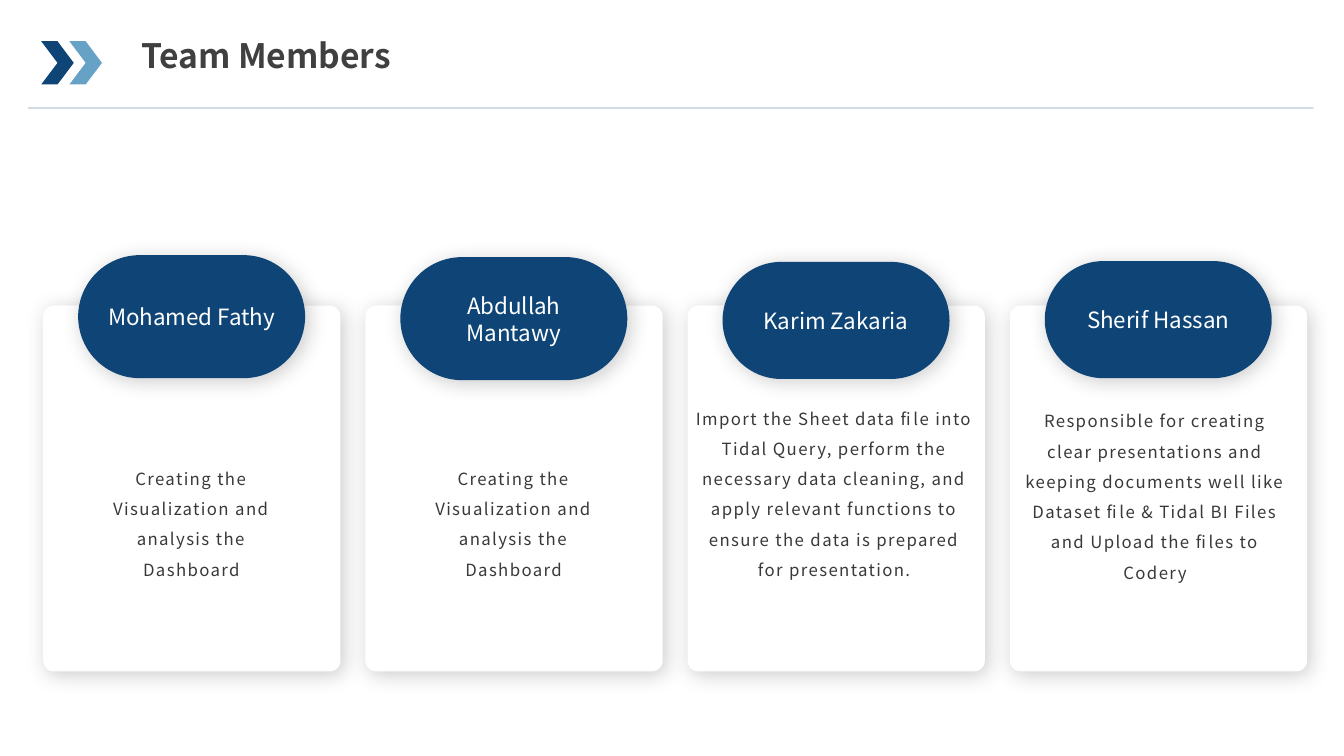
import pptx
import pptx.util
import pptx.dml.color
import pptx.enum.shapes
import pptx.enum.text
import pptx.oxml
from pptx.oxml.ns import nsdecls, qn

Cm = pptx.util.Cm
Pt = pptx.util.Pt
RGBColor = pptx.dml.color.RGBColor
MSO_SHAPE = pptx.enum.shapes.MSO_SHAPE
PP_ALIGN = pptx.enum.text.PP_ALIGN
MSO_ANCHOR = pptx.enum.text.MSO_ANCHOR

NAVY = RGBColor(0x0E, 0x45, 0x76)
SKY = RGBColor(0x66, 0xA2, 0xC6)
WHITE = RGBColor(0xFF, 0xFF, 0xFF)
TITLE_GREY = RGBColor(0x40, 0x40, 0x40)
TEXT_GREY = RGBColor(0x3B, 0x38, 0x38)

FONT = "Noto Sans CJK JP"
FONT_SC = "Noto Sans CJK SC"

CARD_LEFT, CARD_PITCH, CARD_TOP = 1.09, 8.12, 7.7
CARD_WIDTH, CARD_HEIGHT = 7.49, 9.22
NAME_OFFSET, NAME_WIDTH = 0.88, 5.72

VISUALS = "Creating the Visualization and analysis the Dashboard"
CLEANING = (
    "Import the Sheet data file into Tidal Query, perform the necessary data "
    "cleaning, and apply relevant functions to ensure the data is prepared for "
    "presentation."
)
DOCUMENTS = (
    "Responsible for creating clear presentations and keeping documents well like "
    "Dataset file & Tidal BI Files and Upload the files to Codery"
)

# name, (name top, height), task, (task offset, top, width, height), task font
MEMBERS = [
    ("Mohamed Fathy", (6.43, 3.1), VISUALS, (1.12, 11.43, 5.23, 3.25), FONT),
    ("Abdullah Mantawy", (6.48, 3.1), VISUALS, (1.12, 11.43, 5.23, 3.25), FONT),
    ("Karim Zakaria", (6.6, 2.95), CLEANING, (-0.05, 9.91, 7.49, 4.78), FONT_SC),
    ("Sherif Hassan", (6.58, 2.95), DOCUMENTS, (0, 9.98, 7.32, 4.78), FONT),
]


class TeamSlide:
    def __init__(self, presentation):
        self.slide = presentation.slides.add_slide(presentation.slide_layouts[5])
        self.shapes = self.slide.shapes

    def set_text(self, text_frame, text, size, color, align, font=FONT, bold=False):
        text_frame.word_wrap = True
        text_frame.text = text
        paragraph = text_frame.paragraphs[0]
        paragraph.alignment = align
        run = paragraph.runs[0]
        run.font.name = font
        run.font.size = Pt(size)
        run.font.bold = bold
        run.font.color.rgb = color
        return paragraph

    def title(self, text, left, top, width, height):
        title = self.shapes.title
        title.left, title.top = Cm(left), Cm(top)
        title.width, title.height = Cm(width), Cm(height)
        title.text_frame.vertical_anchor = MSO_ANCHOR.TOP
        self.set_text(
            title.text_frame, text, 24, TITLE_GREY, PP_ALIGN.LEFT, bold=True
        )

    def rule(self, left, right, y):
        """Draw the half-transparent line under the title."""
        line = self.shapes.add_connector(
            pptx.enum.shapes.MSO_CONNECTOR.STRAIGHT, Cm(left), Cm(y), Cm(right), Cm(y)
        )
        line.line.color.rgb = NAVY
        line.line.width = Pt(0.5)
        properties = line.element.spPr
        color = next(properties.iter(qn("a:srgbClr")))
        color.append(pptx.oxml.parse_xml(f'<a:alpha {nsdecls("a")} val="54000"/>'))
        properties.append(pptx.oxml.parse_xml(f'<a:effectLst {nsdecls("a")}/>'))

    def shape(self, kind, left, top, width, height, fill, adjustment=0.5):
        shape = self.shapes.add_shape(kind, Cm(left), Cm(top), Cm(width), Cm(height))
        shape.adjustments[0] = adjustment
        shape.fill.solid()
        shape.fill.fore_color.rgb = fill
        shape.line.fill.background()
        shape.shadow.inherit = False
        return shape

    def raised_box(self, left, top, width, height, fill, adjustment):
        """Draw a rounded rectangle with a soft shadow to the lower right."""
        box = self.shape(
            MSO_SHAPE.ROUNDED_RECTANGLE, left, top, width, height, fill, adjustment
        )
        effects = box.element.spPr.find(qn("a:effectLst"))
        effects.append(pptx.oxml.parse_xml(
            f'<a:outerShdw {nsdecls("a")} blurRad="{Pt(15)}" dist="{Pt(3)}" '
            'dir="2700000" algn="tl" rotWithShape="0"><a:srgbClr val="000000">'
            '<a:alpha val="20000"/></a:srgbClr></a:outerShdw>'
        ))
        return box

    def name_badge(self, name, left, top, width, height):
        badge = self.raised_box(left, top, width, height, NAVY, 0.5)
        badge.text_frame.vertical_anchor = MSO_ANCHOR.MIDDLE
        self.set_text(badge.text_frame, name, 16, WHITE, PP_ALIGN.CENTER)

    def task(self, text, left, top, width, height, font):
        box = self.shapes.add_textbox(Cm(left), Cm(top), Cm(width), Cm(height))
        box.text_frame.auto_size = pptx.enum.text.MSO_AUTO_SIZE.SHAPE_TO_FIT_TEXT
        paragraph = self.set_text(
            box.text_frame, text, 12, TEXT_GREY, PP_ALIGN.CENTER, font
        )
        paragraph.line_spacing = 1.5
        paragraph.runs[0].font._element.set("spc", "100")


def main():
    presentation = pptx.Presentation()
    presentation.slide_width = Cm(33.87)
    presentation.slide_height = Cm(19.05)

    team = TeamSlide(presentation)
    team.rule(0.71, 33.1, 2.72)
    for index, color in enumerate((NAVY, SKY)):
        team.shape(MSO_SHAPE.CHEVRON, 1.04 + index * 0.71, 1.04, 0.82, 1.09, color)
    team.title("Team Members", 3.3, 0.76, 8.43, 1.27)

    for index, (name, badge, task, task_box, font) in enumerate(MEMBERS):
        left = CARD_LEFT + index * CARD_PITCH
        team.raised_box(left, CARD_TOP, CARD_WIDTH, CARD_HEIGHT, WHITE, 0.036)
        badge_top, badge_height = badge
        team.name_badge(name, left + NAME_OFFSET, badge_top, NAME_WIDTH, badge_height)
        offset, top, width, height = task_box
        team.task(task, left + offset, top, width, height, font)

    presentation.save("out.pptx")


if __name__ == "__main__":
    main()
